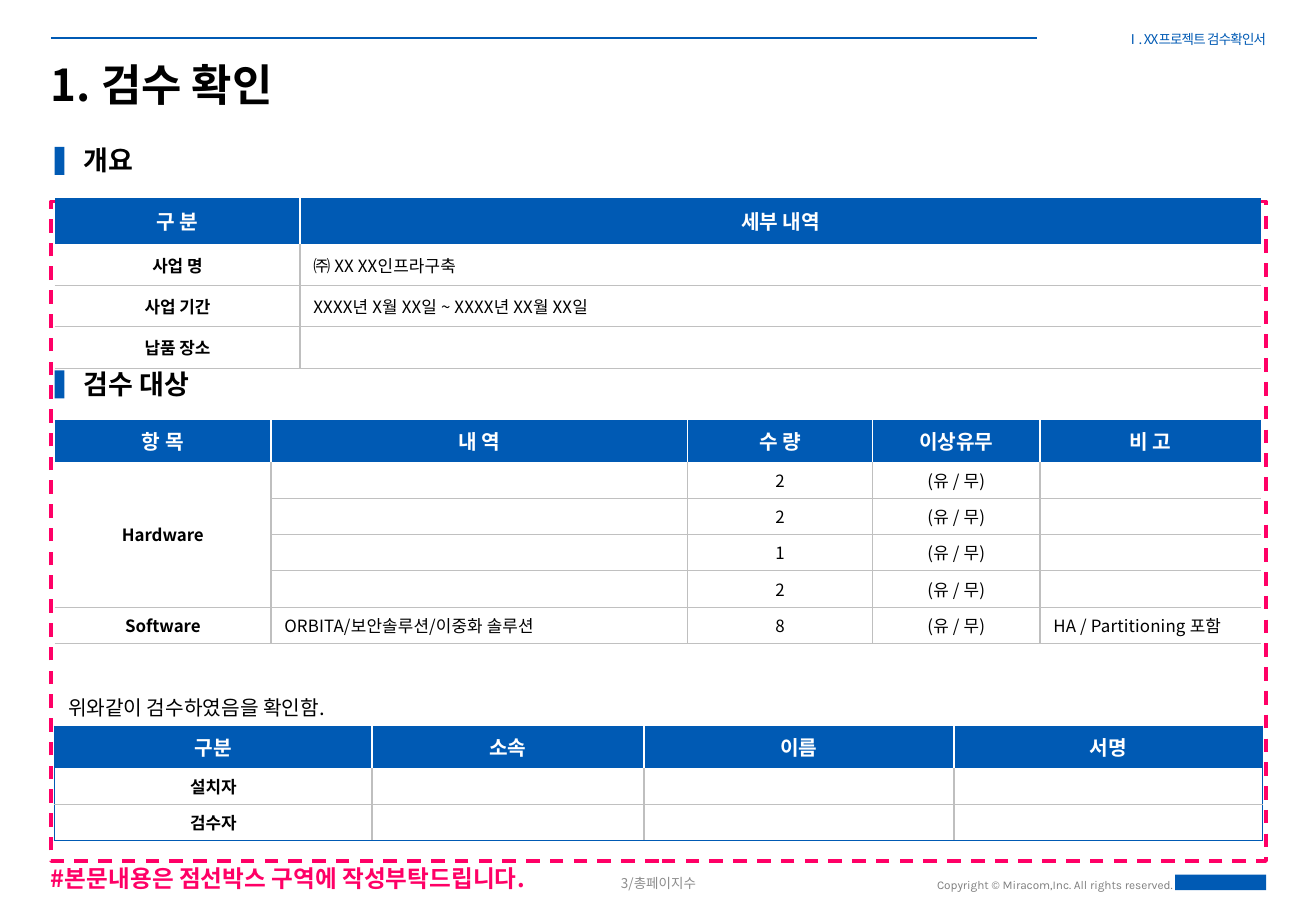
"""Build the acceptance confirmation slide."""
from pptx import Presentation, util as u
from pptx.dml.color import RGBColor
from pptx.enum import dml, shapes, text
from pptx.oxml import xmlchemy as xml

HUE = {k: RGBColor.from_string(v) for k, v in {
    "blue": "005AB4", "pink": "FF0066", "black": "000000", "white": "FFFFFF",
    "page": "8C8C8C", "copy": "7F7F7F", "side": "BFBFBF", "rule": "C0C0C0"}.items()}
KOREAN = "Noto Sans CJK KR"
ALIGN = {"l": text.PP_ALIGN.LEFT, "c": text.PP_ALIGN.CENTER, "r": text.PP_ALIGN.RIGHT}


def write(para, words, size, hue="black", bold=False, align="l", gap=0, face=KOREAN):
    para.alignment = ALIGN[align]
    if not words:
        para._p.get_or_add_endParaRPr().set("sz", str(size * 100))
        return
    run = para.add_run()
    run.text = words
    for key, val in {"size": u.Pt(size), "bold": bold, "name": face}.items():
        setattr(run.font, key, val)
    run.font.color.rgb = HUE[hue]
    props = run._r.get_or_add_rPr()
    if gap:
        props.set("spc", str(round(gap * 100)))
    east = xml.OxmlElement("a:ea")
    east.set("typeface", face)
    props.append(east)


def edge(cell, tag, line):
    node = xml.OxmlElement("a:" + tag)
    cell._tc.get_or_add_tcPr().append(node)
    if not line:
        node.append(xml.OxmlElement("a:noFill"))
        return
    hue, width = line
    node.set("w", str(u.Pt(width)))
    fill = xml.OxmlElement("a:solidFill")
    tint = xml.OxmlElement("a:srgbClr")
    tint.set("val", str(HUE[hue]))
    fill.append(tint)
    node.append(fill)


deck = Presentation()
deck.slide_width, deck.slide_height = u.Inches(10.83), u.Inches(7.5)
slide = deck.slides.add_slide(deck.slide_layouts[6])
items = slide.shapes

top = items.add_connector(shapes.MSO_CONNECTOR.STRAIGHT, u.Inches(0.42), u.Inches(0.31),
                          u.Inches(8.53), u.Inches(0.31))
top.line.color.rgb = HUE["blue"]
top.line.width = u.Pt(1.25)
top._element.spPr.append(xml.OxmlElement("a:effectLst"))

frame = items.add_shape(shapes.MSO_SHAPE.RECTANGLE, u.Inches(0.42), u.Inches(1.66),
                        u.Inches(10), u.Inches(5.43))
frame.shadow.inherit = False
frame.fill.background()
for key, val in {"width": u.Pt(2), "dash_style": dml.MSO_LINE.DASH}.items():
    setattr(frame.line, key, val)
frame.line.color.rgb = HUE["pink"]

MARKS = [(0.45, 1.21, 0.08, 0.23), (0.45, 3.05, 0.08, 0.23), (9.67, 7.2, 0.75, 0.13)]
for spot in MARKS:
    mark = items.add_shape(shapes.MSO_SHAPE.RECTANGLE, *map(u.Inches, spot))
    mark.shadow.inherit = False
    mark.fill.solid()
    mark.fill.fore_color.rgb = HUE["blue"]
    mark.line.fill.background()

MID, TOP = text.MSO_ANCHOR.MIDDLE, text.MSO_ANCHOR.TOP
NOTES = [
    ((4.2, 7.07, 2.44, 0.4), MID, "3/총페이지수", dict(size=8, hue="page", align="c")),
    ((7.57, 7.22, 2.08, 0.12), MID, "Copyright © Miracom,Inc. All rights reserved.",
     dict(size=7, hue="copy", align="r", face="Karla")),
    ((0.42, 7.11, 6.17, 0.24), TOP, "#본문내용은 점선박스 구역에 작성부탁드립니다.",
     dict(size=14, hue="pink", bold=True)),
    ((0.42, 0.47, 10, 0.44), MID, "1. 검수 확인", dict(size=26, bold=True)),
    ((8.68, 0.16, 1.74, 0.32), MID, "Ⅰ. XX프로젝트 검수확인서",
     dict(size=8, hue="blue", align="r", gap=-0.5)),
    ((0.69, 1.18, 9.7, 0.27), TOP, "개요", dict(size=16, bold=True)),
    ((0.69, 3.03, 9.7, 0.27), TOP, "검수 대상", dict(size=16, bold=True)),
    ((0.56, 5.72, 2.45, 0.25), TOP, "위와같이 검수하였음을 확인함.", dict(size=12)),
]
for spot, anchor, words, style in NOTES:
    body = items.add_textbox(*map(u.Inches, spot)).text_frame
    for key, val in {"word_wrap": True, "vertical_anchor": anchor, "margin_left": 0,
                     "margin_right": 0, "margin_top": 0, "margin_bottom": 0}.items():
        setattr(body, key, val)
    write(body.paragraphs[0], words, **style)

STATE = "(유 / 무)"
TABLES = [
    dict(top=1.63, cols=[2.02, 7.91], head=0.38, row=0.34, pad=0.07, left=[1], rim=None,
         rows=[["구 분", "세부 내역"],
               ["사업 명", "㈜ XX XX인프라구축"],
               ["사업 기간", "XXXX년 X월 XX일 ~ XXXX년 XX월 XX일"],
               ["납품 장소", ""]]),
    dict(top=3.46, cols=[1.78, 3.43, 1.52, 1.38, 1.82], head=0.34, row=0.3, pad=0.05,
         left=[1, 4], rim=None,
         rows=[["항 목", "내 역", "수 량", "이상유무", "비 고"],
               ["Hardware", "", "2", STATE, ""],
               *[["", "", count, STATE, ""] for count in "212"],
               ["Software", "ORBITA/보안솔루션/이중화 솔루션", "8", STATE,
                "HA / Partitioning 포함"]]),
    dict(top=5.98, cols=[2.61, 2.24, 2.55, 2.54], head=0.34, row=0.3, pad=0.05,
         left=[], rim=("blue", 1),
         rows=[["구분", "소속", "이름", "서명"],
               ["설치자", "", "", ""],
               ["검수자", "", "", ""]]),
]
for plan in TABLES:
    rows, cols, rim = plan["rows"], plan["cols"], plan["rim"]
    high = [plan["head"]] + [plan["row"]] * (len(rows) - 1)
    grid = items.add_table(len(rows), len(cols), u.Inches(0.45), u.Inches(plan["top"]),
                           u.Inches(sum(cols)), u.Inches(sum(high))).table
    for c, wide in enumerate(cols):
        grid.columns[c].width = u.Inches(wide)
    for r, line in enumerate(rows):
        grid.rows[r].height = u.Inches(high[r])
        head, last = r == 0, r == len(rows) - 1
        side = ("white" if head else "side", 1)
        thin = ("rule", 0.5)
        for c, words in enumerate(line):
            cell = grid.cell(r, c)
            edge(cell, "lnL", side if c else rim)
            edge(cell, "lnR", side if c < len(cols) - 1 else rim)
            edge(cell, "lnT", rim if head else None if r == 1 else thin)
            edge(cell, "lnB", None if head else rim if last and rim else thin)
            cell.fill.solid()
            cell.fill.fore_color.rgb = HUE["blue" if head else "white"]
            pad = u.Inches(plan["pad"])
            for key, val in {"vertical_anchor": MID, "margin_left": u.Inches(0.11),
                             "margin_right": u.Inches(0.11), "margin_top": pad,
                             "margin_bottom": pad}.items():
                setattr(cell, key, val)
            write(cell.text_frame.paragraphs[0], words, 12 if head else 10,
                  "white" if head else "black", head or c == 0,
                  "l" if c in plan["left"] and not head else "c",
                  0.1 if c and not head else 0)
    if line[0] == "Software":
        grid.cell(1, 0).merge(grid.cell(4, 0))

deck.save("out.pptx")
